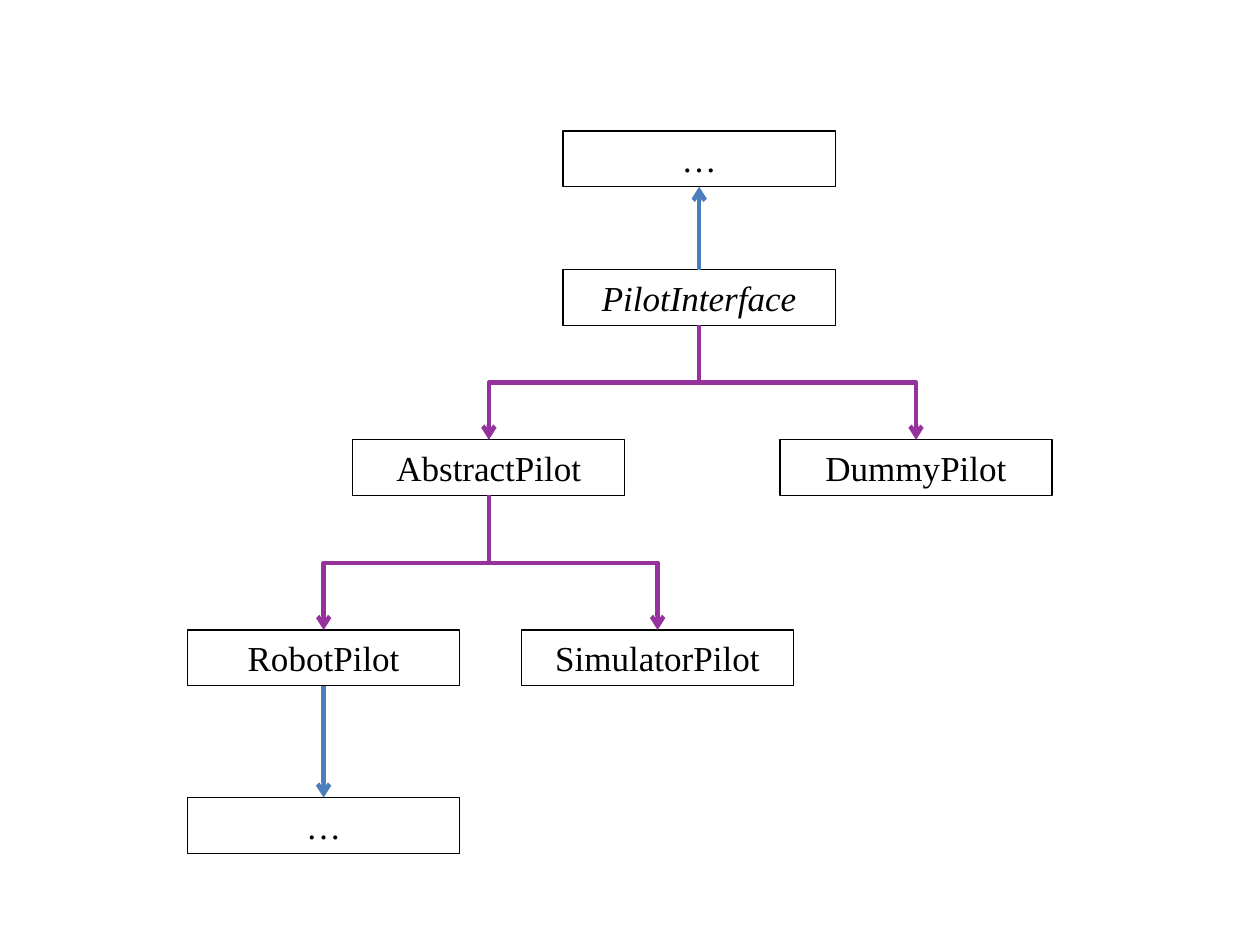
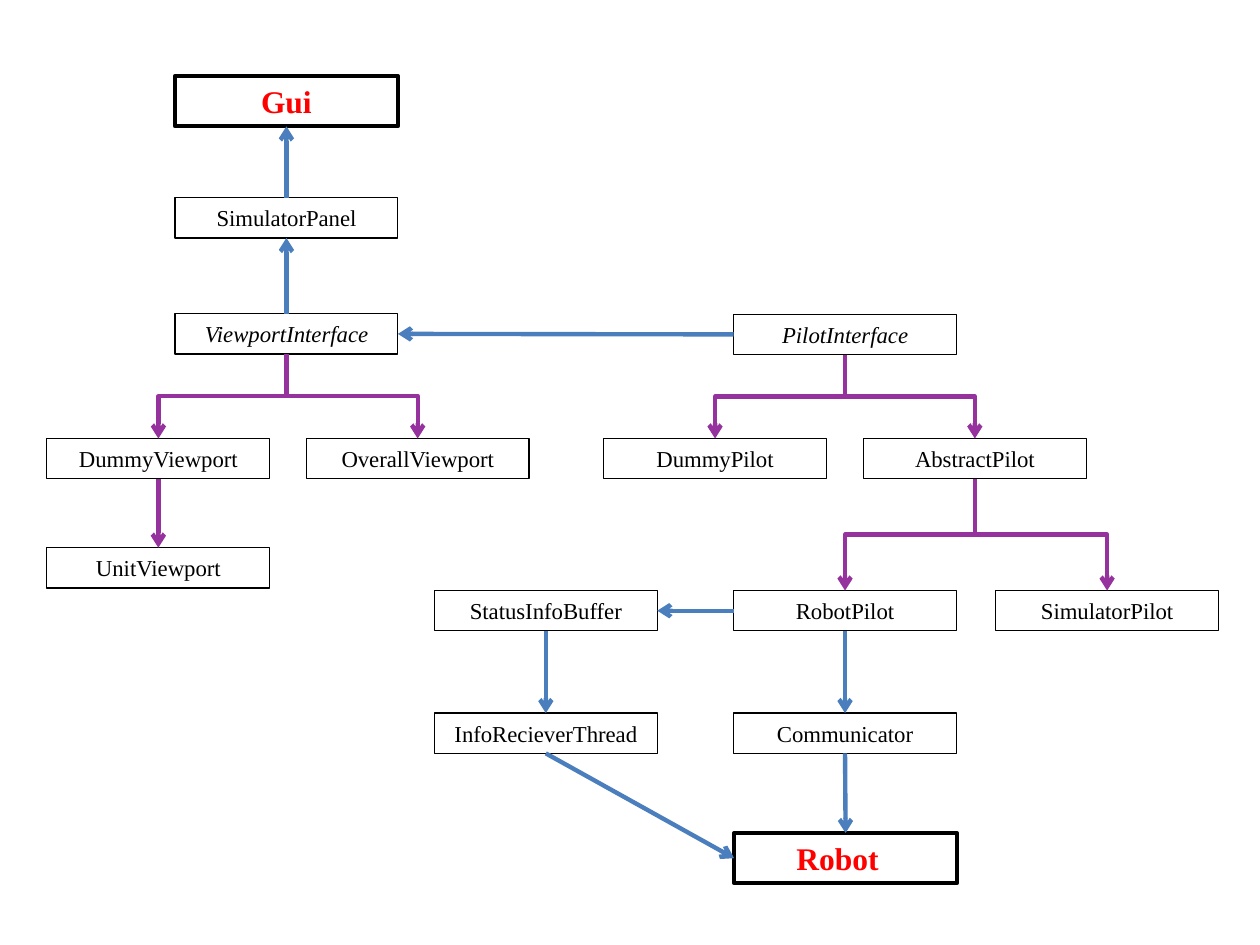
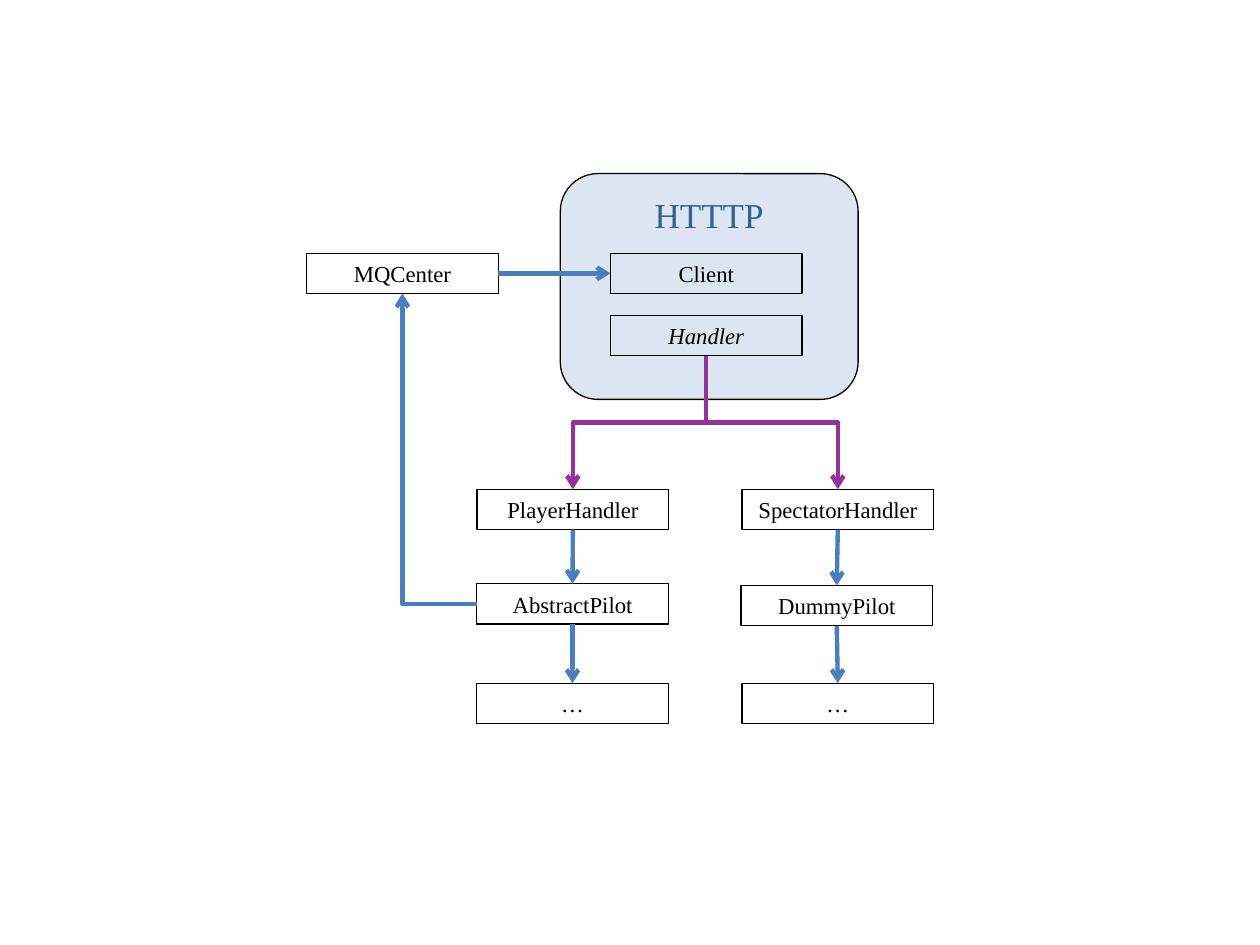
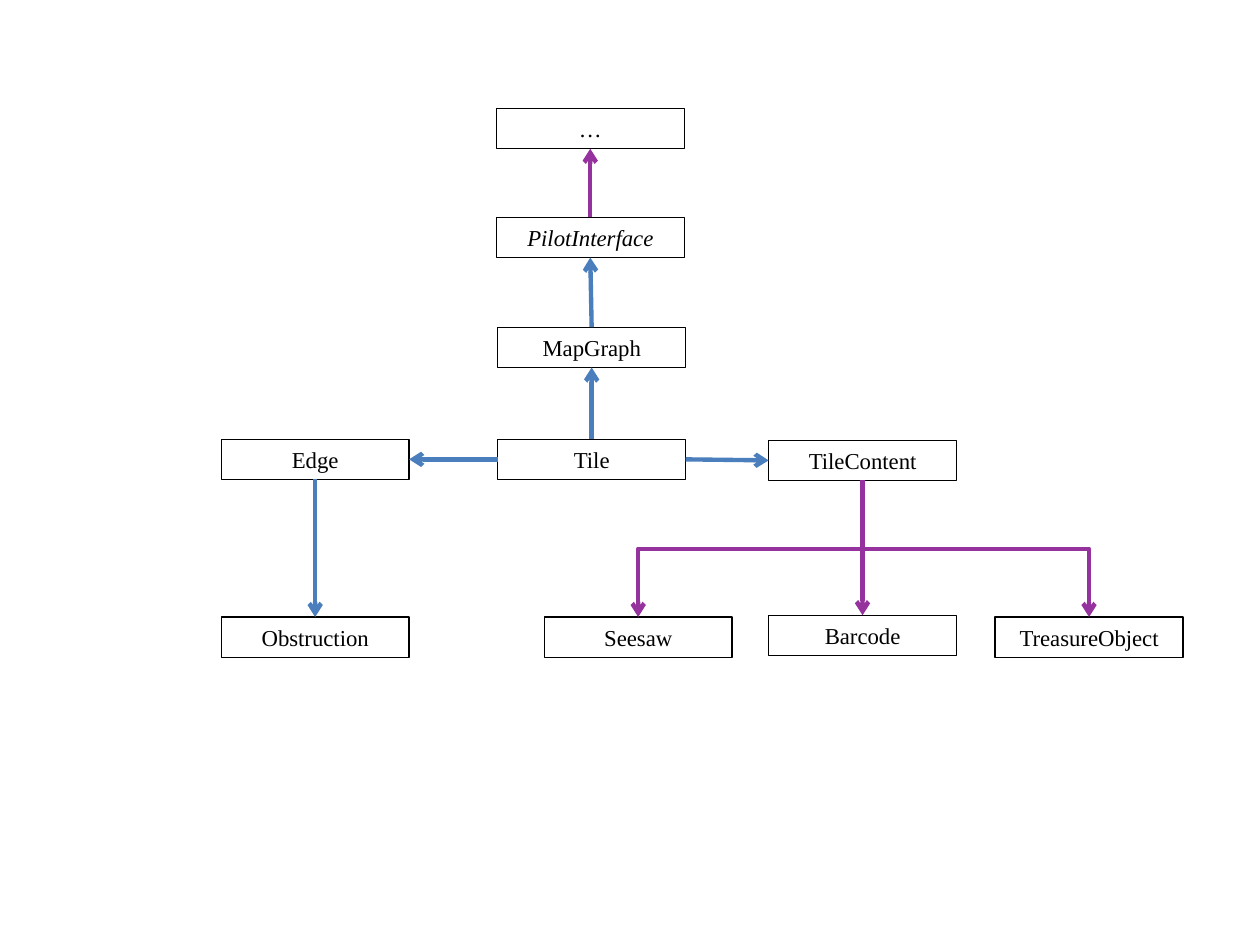
from dataclasses import dataclass

from lxml import etree
from pptx import Presentation
from pptx.dml.color import RGBColor
from pptx.enum.shapes import MSO_CONNECTOR, MSO_SHAPE
from pptx.enum.text import MSO_ANCHOR, PP_ALIGN
from pptx.oxml.ns import qn
from pptx.shapes.autoshape import Shape
from pptx.shapes.connector import Connector
from pptx.slide import Slide
from pptx.util import Pt

RECT = MSO_SHAPE.RECTANGLE
ROUND = MSO_SHAPE.ROUNDED_RECTANGLE
LINE = MSO_CONNECTOR.STRAIGHT
ELBOW = MSO_CONNECTOR.ELBOW
MIDDLE = MSO_ANCHOR.MIDDLE
UPPER = MSO_ANCHOR.TOP
CENTER = PP_ALIGN.CENTER

BLACK = RGBColor(0x00, 0x00, 0x00)
RED = RGBColor(0xFF, 0x00, 0x00)
BLUE = RGBColor(0x4B, 0x7E, 0xBC)
PURPLE = RGBColor(0x96, 0x32, 0x9E)
PALE = RGBColor(0xDC, 0xE6, 0xF2)
NAVY = RGBColor(0x37, 0x60, 0x92)

FONT = "Times New Roman"
TOP, LEFT, BOTTOM, RIGHT = range(4)


@dataclass(frozen=True)
class Style:
    width: float
    height: float
    size: float = 13
    color: RGBColor = BLACK
    bold: bool = False
    border: float = 0.75


@dataclass(frozen=True)
class Node:
    text: str
    left: float
    top: float
    key: str = ""
    italic: bool = False
    style: Style | None = None
    inset: float = 7.2


@dataclass(frozen=True)
class Link:
    start: str
    end: str
    out: int = BOTTOM
    into: int = TOP
    color: RGBColor = BLUE


@dataclass(frozen=True)
class Fork:
    start: str
    ends: tuple[str, ...]


@dataclass(frozen=True)
class Chart:
    style: Style
    nodes: list[Node]
    links: list[Link]
    forks: list[Fork]


LARGE = Style(155.5, 31.8, 20)
SMALL = Style(127.4, 23)
STRONG = Style(127.4, 28.8, 18, RED, True, 2.25)
MEDIUM = Style(109.5, 23)
NARROW = Style(107.4, 23)

PILOTS = Chart(
    LARGE,
    [
        Node("…", 321.8, 74.9, "above"),
        Node("PilotInterface", 321.8, 154.1, italic=True),
        Node("AbstractPilot", 201.6, 251.3),
        Node("DummyPilot", 445.7, 251.3),
        Node("RobotPilot", 107.2, 360),
        Node("SimulatorPilot", 298, 360),
        Node("…", 107.2, 455.8, "below"),
    ],
    [
        Link("PilotInterface", "above", TOP, BOTTOM),
        Link("RobotPilot", "below"),
    ],
    [
        Fork("PilotInterface", ("AbstractPilot", "DummyPilot")),
        Fork("AbstractPilot", ("RobotPilot", "SimulatorPilot")),
    ],
)

SYSTEM = Chart(
    SMALL,
    [
        Node("Gui", 100, 43.4, style=STRONG),
        Node("SimulatorPanel", 100, 113),
        Node("ViewportInterface", 100, 179.3, italic=True),
        Node("PilotInterface", 419.2, 179.6, italic=True),
        Node("DummyViewport", 26.8, 250.6),
        Node("OverallViewport", 175, 250.6),
        Node("DummyPilot", 344.9, 250.6),
        Node("AbstractPilot", 493.4, 250.6),
        Node("UnitViewport", 26.8, 313),
        Node("StatusInfoBuffer", 248.2, 337.5),
        Node("RobotPilot", 419.2, 337.5),
        Node("SimulatorPilot", 568.9, 337.5),
        Node("InfoRecieverThread", 248.2, 407.5),
        Node("Communicator", 419.2, 407.5),
        Node("Robot", 419.5, 476, style=STRONG, inset=16.2),
    ],
    [
        Link("SimulatorPanel", "Gui", TOP, BOTTOM),
        Link("ViewportInterface", "SimulatorPanel", TOP, BOTTOM),
        Link("PilotInterface", "ViewportInterface", LEFT, RIGHT),
        Link("DummyViewport", "UnitViewport", color=PURPLE),
        Link("RobotPilot", "StatusInfoBuffer", LEFT, RIGHT),
        Link("StatusInfoBuffer", "InfoRecieverThread"),
        Link("RobotPilot", "Communicator"),
        Link("Communicator", "Robot"),
        Link("InfoRecieverThread", "Robot", BOTTOM, LEFT),
    ],
    [
        Fork("ViewportInterface", ("DummyViewport", "OverallViewport")),
        Fork("PilotInterface", ("DummyPilot", "AbstractPilot")),
        Fork("AbstractPilot", ("RobotPilot", "SimulatorPilot")),
    ],
)

SERVER = Chart(
    MEDIUM,
    [
        Node("MQCenter", 175.2, 144.7),
        Node("Client", 348.8, 144.7),
        Node("Handler", 348.8, 180.2, italic=True),
        Node("PlayerHandler", 272.6, 279.6),
        Node("SpectatorHandler", 424, 279.6),
        Node("AbstractPilot", 272.4, 333.6),
        Node("DummyPilot", 423.4, 334.6),
        Node("…", 272.4, 390.4, "player"),
        Node("…", 424, 390.4, "watcher"),
    ],
    [
        Link("MQCenter", "Client", RIGHT, LEFT),
        Link("PlayerHandler", "AbstractPilot"),
        Link("SpectatorHandler", "DummyPilot"),
        Link("AbstractPilot", "player"),
        Link("DummyPilot", "watcher"),
        Link("AbstractPilot", "MQCenter", LEFT, BOTTOM),
    ],
    [Fork("Handler", ("PlayerHandler", "SpectatorHandler"))],
)

TILES = Chart(
    NARROW,
    [
        Node("…", 283.6, 62, "above"),
        Node("PilotInterface", 283.6, 124.2, italic=True),
        Node("MapGraph", 284.4, 187),
        Node("Edge", 126.4, 251),
        Node("Tile", 284.4, 251),
        Node("TileContent", 439.2, 251.6),
        Node("Obstruction", 126.4, 352.6),
        Node("Seesaw", 311, 352.6),
        Node("Barcode", 439.2, 351.6),
        Node("TreasureObject", 568.6, 352.6),
    ],
    [
        Link("PilotInterface", "above", TOP, BOTTOM, PURPLE),
        Link("MapGraph", "PilotInterface", TOP, BOTTOM),
        Link("Tile", "MapGraph", TOP, BOTTOM),
        Link("Tile", "Edge", LEFT, RIGHT),
        Link("Tile", "TileContent", RIGHT, LEFT),
        Link("Edge", "Obstruction"),
        Link("TileContent", "Barcode", color=PURPLE),
    ],
    [Fork("TileContent", ("Seesaw", "TreasureObject"))],
)


def write(shape: Shape, text: str, style: Style, color: RGBColor, italic: bool = False) -> None:
    para = shape.text_frame.paragraphs[0]
    para.alignment = CENTER
    run = para.add_run()
    run.text = text
    font = run.font
    font.name = FONT
    font.size = Pt(style.size)
    font.bold = style.bold
    font.italic = italic
    font.color.rgb = color


def outline(shape: Shape, width: float) -> None:
    shape.shadow.inherit = False
    shape.line.color.rgb = BLACK
    shape.line.width = Pt(width)


def draw_node(slide: Slide, node: Node, base: Style) -> Shape:
    style = node.style or base
    shape = slide.shapes.add_shape(
        RECT, Pt(node.left), Pt(node.top), Pt(style.width), Pt(style.height)
    )
    outline(shape, style.border)
    shape.fill.background()
    frame = shape.text_frame
    frame.word_wrap = True
    frame.vertical_anchor = MIDDLE
    frame.margin_right = Pt(node.inset)
    write(shape, node.text, style, style.color, node.italic)
    return shape


def draw_panel(slide: Slide) -> None:
    panel = slide.shapes.add_shape(ROUND, Pt(320.2), Pt(99.2), Pt(170.2), Pt(129))
    outline(panel, 0.75)
    panel.fill.solid()
    panel.fill.fore_color.rgb = PALE
    frame = panel.text_frame
    frame.vertical_anchor = UPPER
    frame.margin_top = Pt(5)
    write(panel, "HTTTP", LARGE, NAVY)


def draw_link(slide: Slide, boxes: dict[str, Shape], link: Link, kind: int = LINE) -> Connector:
    line = slide.shapes.add_connector(kind, 0, 0, 0, 0)
    line.begin_connect(boxes[link.start], link.out)
    line.end_connect(boxes[link.end], link.into)
    line.line.color.rgb = link.color
    line.line.width = Pt(2.5)
    props = line._element.spPr
    tip = etree.SubElement(props.find(qn("a:ln")), qn("a:tailEnd"))
    tip.set("type", "arrow")
    etree.SubElement(props, qn("a:effectLst"))
    return line


def draw_turn(slide: Slide, boxes: dict[str, Shape], link: Link) -> None:
    line = draw_link(slide, boxes, link, ELBOW)
    line._element.spPr.find(qn("a:prstGeom")).set("prst", "bentConnector2")
    pose(line, 180, False)


def pose(line: Connector, angle: int, flip: bool) -> None:
    frame = line._element.spPr.find(qn("a:xfrm"))
    frame.set("rot", str(angle * 60000))
    frame.set("flipH", str(int(flip)))
    frame.set("flipV", "0")


def draw_fork(slide: Slide, boxes: dict[str, Shape], fork: Fork) -> None:
    for end in fork.ends:
        line = draw_link(slide, boxes, Link(fork.start, end, color=PURPLE), ELBOW)
        right = line.end_x > line.begin_x
        wide, high = line.width, line.height
        line.left += (wide - high) // 2
        line.top += (high - wide) // 2
        line.width, line.height = high, wide
        pose(line, 270 if right else 90, right)


def draw_chart(slide: Slide, chart: Chart) -> None:
    boxes = {
        node.key or node.text: draw_node(slide, node, chart.style)
        for node in chart.nodes
    }
    for fork in chart.forks:
        draw_fork(slide, boxes, fork)
    for link in chart.links:
        if (link.out, link.into) == (LEFT, BOTTOM):
            draw_turn(slide, boxes, link)
        else:
            draw_link(slide, boxes, link)


def main() -> None:
    deck = Presentation()
    deck.slide_width = Pt(720)
    deck.slide_height = Pt(540)
    for chart in (PILOTS, SYSTEM, SERVER, TILES):
        slide = deck.slides.add_slide(deck.slide_layouts[6])
        if chart is SERVER:
            draw_panel(slide)
        draw_chart(slide, chart)
    deck.save("out.pptx")


if __name__ == "__main__":
    main()
